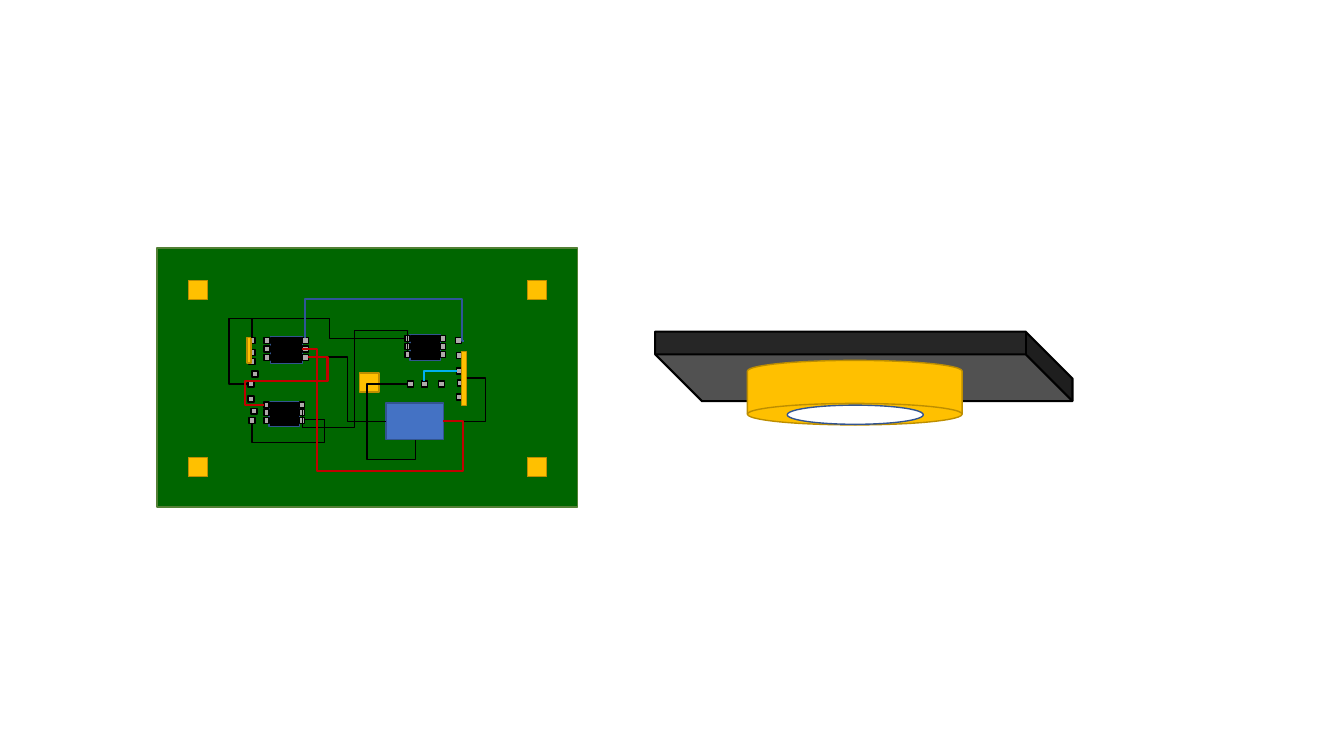
"""Build a slide with a circuit board and its sensor housing."""
from dataclasses import dataclass

from lxml.etree import SubElement
from pptx import Presentation
from pptx.dml.color import RGBColor
from pptx.enum.shapes import MSO_CONNECTOR as Connector, MSO_SHAPE as Preset
from pptx.oxml.ns import qn
from pptx.util import Pt


@dataclass(frozen=True)
class Theme:
    """Colours and line widths of the slide."""
    black: str = "000000"
    housing: str = "262626"
    white: str = "FFFFFF"
    gold: str = "FFC000"
    gold_edge: str = "BD8E00"
    blue: str = "4472C4"
    blue_edge: str = "325491"
    board: str = "006600"
    board_edge: str = "538035"
    pin: str = "AFABAB"
    red_wire: str = "C00000"
    blue_wire: str = "2F5597"
    cyan_wire: str = "00B0F0"
    thin: float = 1
    thick: float = 1.5


THEME = Theme()
PAD_SIZE = 4.3
MOUNT_SIZE = 13.7

CHIPS = [
    (193, 240.5, 23, 19.4, 4.4, 6),
    (192.2, 286.6, 21.6, 18, 3.6, 5.4),
    (293, 239, 21.6, 18.7, 3.6, 5.7),
]
MOUNTS = [(134.6, 200.2), (134.6, 326.9), (376.6, 200.2), (257, 266.4), (376.6, 326.9)]
PADS = [
    (177.8, 241.2), (177.8, 249.8), (179.3, 291.6), (177.8, 298.1),
    (325.4, 241.2), (326.2, 252), (326.2, 262.8), (326.9, 271.4),
    (313.2, 272.2), (301, 272.2), (177.8, 256.3), (180, 265),
    (177.1, 283), (177.1, 272.2), (326.2, 281.5), (290.9, 272.2),
]
STRIPS = [(176.4, 241.2, 2.9, 18), (329.8, 251.3, 3.6, 38.2)]
WIRES = [
    ((180, 241.2), (289.4, 241.9), "down", (227.5, 235.4), THEME.black, THEME.thin),
    ((218.2, 299.5), (180, 302.4), "across", (231.8, 316.1), THEME.black, THEME.thin),
    ((180, 241.2), (177.1, 274.3), "down", (227.5, 163.4), THEME.black, THEME.thin),
    ((290.9, 274.3), (296.6, 314.6), "across", (262.1, 328.3), THEME.black, THEME.thin),
    ((290.9, 250.6), (216, 291.6), "down", (236.2, 253.4, 305.3), THEME.black, THEME.thin),
    ((220.3, 254.9), (275.8, 301), "across", (248.4,), THEME.black, THEME.thin),
    ((333.4, 270), (316.8, 301), "across", (347,), THEME.black, THEME.thin),
    ((188.6, 289.4), (220.3, 254.9), "across", (175, 272.2, 234), THEME.red_wire, THEME.thick),
    ((331.2, 243.4), (218.2, 241.2), "across", (329.8, 213.8), THEME.blue_wire, THEME.thick),
    ((326.2, 265), (303.1, 272.2), "across", (), THEME.cyan_wire, THEME.thick),
    ((216, 249.1), (316.8, 301), "across", (226.8, 336.2, 330.5), THEME.red_wire, THEME.thick),
]


def set_line(line, color, width):
    """Colour a line and set its width."""
    line.color.rgb = RGBColor.from_string(color)
    line.width = Pt(width)


def add_part(shapes, preset, box, fill, edge, width=THEME.thin):
    """Add a filled preset shape with an outline."""
    shape = shapes.add_shape(preset, *map(Pt, box))
    shape.shadow.inherit = False
    shape.fill.solid()
    shape.fill.fore_color.rgb = RGBColor.from_string(fill)
    set_line(shape.line, edge, width)
    return shape


def add_block(shapes, box, fill, edge):
    """Add a rectangular part of the board."""
    return add_part(shapes, Preset.RECTANGLE, box, fill, edge)


def add_pad(shapes, left, top, width=PAD_SIZE):
    """Add a small grey solder pad."""
    add_block(shapes, (left, top, width, PAD_SIZE), THEME.pin, THEME.black)


def add_chip(shapes, left, top, width, height, pin_width, pitch):
    """Add a chip with three pins on either side."""
    add_block(shapes, (left, top, width, height), THEME.black, THEME.blue_edge)
    for pin_left in (left - pin_width, left + width):
        for row in range(3):
            add_pad(shapes, pin_left, top + 0.7 + row * pitch, pin_width)


def add_wire(shapes, begin, end, direction, bends, color, width):
    """Add an elbow wire that turns at the given alternating coordinates."""
    across, down = end[0] - begin[0], end[1] - begin[1]
    turned = direction == "down"
    center = (begin[0] + across / 2, begin[1] + down / 2)
    half = (down / 2, -across / 2) if turned else (across / 2, down / 2)
    corners = (center[0] - half[0], center[1] - half[1],
               center[0] + half[0], center[1] + half[1])
    connector = shapes.add_connector(Connector.ELBOW, *map(Pt, corners))
    set_line(connector.line, color, width)
    properties = connector._element.spPr
    if turned:
        properties.find(qn("a:xfrm")).set("rot", str(90 * 60000))
    geometry = properties.find(qn("a:prstGeom"))
    geometry.set("prst", f"bentConnector{len(bends) + 2}")
    guides = geometry.find(qn("a:avLst"))
    for index, bend in enumerate(bends):
        axis = (index + turned) % 2
        share = (bend - begin[axis]) / (end[axis] - begin[axis])
        SubElement(guides, qn("a:gd"), name=f"adj{index + 1}",
                   fmla=f"val {round(share * 100000)}")
    SubElement(properties, qn("a:effectLst"))


def add_housing(shapes):
    """Add the dark plate with the gold ring below it."""
    plate = add_part(shapes, Preset.CUBE, (468, 236.9, 298.1, 49.7),
                     THEME.housing, THEME.black, THEME.thick)
    plate.adjustments[0] = 0.674
    plate._element.spPr.find(qn("a:xfrm")).set("flipV", "1")
    ring = add_part(shapes, Preset.FLOWCHART_DIRECT_ACCESS_STORAGE,
                    (587.5, 203.8, 46.1, 153.4), THEME.gold, THEME.gold_edge)
    ring.rotation = 90
    add_part(shapes, Preset.OVAL, (562.3, 289.4, 97.2, 13.7), THEME.white, THEME.blue_edge)


def add_board(shapes):
    """Add the circuit board with its parts and wires."""
    add_block(shapes, (112.3, 177.1, 300.2, 185), THEME.board, THEME.board_edge)
    for chip in CHIPS:
        add_chip(shapes, *chip)
    for left, top in MOUNTS:
        add_block(shapes, (left, top, MOUNT_SIZE, MOUNT_SIZE), THEME.gold, THEME.gold_edge)
    for left, top in PADS:
        add_pad(shapes, left, top)
    add_block(shapes, (275.8, 288, 41, 25.9), THEME.blue, THEME.blue_edge)
    for strip in STRIPS:
        add_block(shapes, strip, THEME.gold, THEME.gold_edge)
    for wire in WIRES:
        add_wire(shapes, *wire)


def main():
    """Build the slide and save it."""
    presentation = Presentation()
    presentation.slide_width, presentation.slide_height = Pt(960), Pt(540)
    slide = presentation.slides.add_slide(presentation.slide_layouts[6])
    add_housing(slide.shapes.add_group_shape().shapes)
    add_board(slide.shapes.add_group_shape().shapes)
    presentation.save("out.pptx")


if __name__ == "__main__":
    main()
